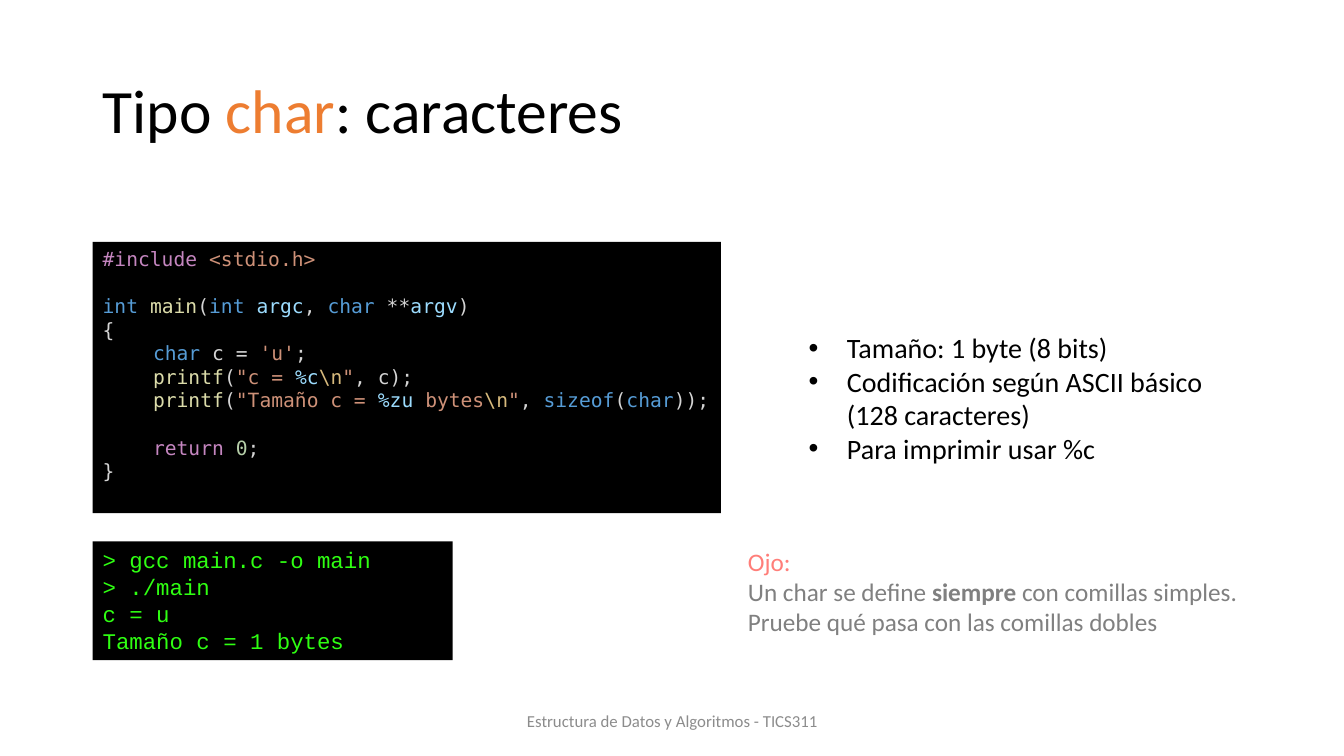
from pptx import Presentation
from pptx.dml.color import RGBColor
from pptx.enum import shapes, text
from pptx.util import Inches, Pt

COLORS = {
    "black": "000000", "orange": "ED7D31", "footer": "8C8C8C",
    "keyword": "569CD6", "control": "C586C0", "function": "DCDCAA",
    "string": "CE9178", "variable": "9CDCFE", "escape": "D7BA7D",
    "number": "B5CEA8", "plain": "D4D4D4",
    "terminal": "2FFF12", "warning": "FF7E79", "gray": "808080",
}


def add_spans(para, font, size, spans):
    """Fill a paragraph with (text, color) spans; a newline breaks the line."""
    para.font.name, para.font.size = font, Pt(size)
    for words, color in spans:
        for number, line in enumerate(words.split("\n")):
            if number:
                para.add_line_break()
            if line:
                span = para.add_run()
                span.text = line
                span.font.name, span.font.size = font, Pt(size)
                span.font.color.rgb = RGBColor.from_string(COLORS[color])


def set_frame(box, place, anchor=text.MSO_ANCHOR.TOP, wrap=True):
    """Place a box and return its text frame."""
    box.left, box.top, box.width, box.height = map(Inches, place)
    frame = box.text_frame
    frame.auto_size = text.MSO_AUTO_SIZE.NONE
    frame.word_wrap = wrap
    frame.vertical_anchor = anchor
    return frame


deck = Presentation()
deck.slide_width, deck.slide_height = Inches(13.33), Inches(7.5)
page = deck.slides.add_slide(deck.slide_layouts[1])

# Title
frame = set_frame(page.shapes.title, (0.92, 0.4, 11.5, 1.45), text.MSO_ANCHOR.MIDDLE)
para = frame.paragraphs[0]
para.alignment, para.line_spacing = text.PP_ALIGN.LEFT, 0.9
add_spans(para, "Calibri", 44,
          [("Tipo ", "black"), ("char", "orange"), (": caracteres", "black")])

# Code and terminal panels: each line is (indent, space before, spans)
code_lines = [
    (0, 0, [("#include ", "control"), ("<stdio.h>", "string")]),
    (0, 17, [("int ", "keyword"), ("main", "function"), ("(", "plain"),
             ("int ", "keyword"), ("argc", "variable"), (", ", "plain"),
             ("char", "keyword"), (" **", "plain"), ("argv", "variable"),
             (")", "plain")]),
    (0, 0, [("{", "plain")]),
    (0.5, 0, [("char", "keyword"), (" c = ", "plain"), ("'u'", "string"),
              (";", "plain")]),
    (0.5, 0, [("printf", "function"), ("(", "plain"), ('"c = ', "string"),
              ("%c", "variable"), ("\\n", "escape"), ('"', "string"),
              (", c);", "plain")]),
    (0.5, 0, [("printf", "function"), ("(", "plain"), ('"Tamaño c = ', "string"),
              ("%zu", "variable"), (" bytes", "string"), ("\\n", "escape"),
              ('"', "string"), (", ", "plain"), ("sizeof", "keyword"),
              ("(", "plain"), ("char", "keyword"), ("));", "plain")]),
    (0.5, 17, [("return ", "control"), ("0", "number"), (";", "plain")]),
    (0, 0, [("}", "plain")]),
]
terminal_lines = [
    (0, 0, [(line, "terminal")])
    for line in ("> gcc main.c -o main", "> ./main", "c = u", "Tamaño c = 1 bytes")
]
panels = [
    ((0.92, 2.4, 6.23, 2.69), "DejaVu Sans Mono", 14, False, code_lines),
    ((0.92, 5.37, 3.57, 1.18), "Courier New", 16, True, terminal_lines),
]
for place, font, size, wrap, lines in panels:
    panel = page.shapes.add_shape(shapes.MSO_SHAPE.RECTANGLE, *map(Inches, place))
    panel.shadow.inherit = False
    panel.fill.solid()
    panel.fill.fore_color.rgb = RGBColor.from_string(COLORS["black"])
    panel.line.fill.background()
    frame = set_frame(panel, place, wrap=wrap)
    for number, (indent, gap, spans) in enumerate(lines):
        para = frame.add_paragraph() if number else frame.paragraphs[0]
        para.alignment, para.space_before = text.PP_ALIGN.LEFT, Pt(gap)
        para._p.get_or_add_pPr().set("marL", str(Inches(indent)))
        add_spans(para, font, size, spans)

# Bullet list
facts = ["Tamaño: 1 byte (8 bits)",
         "Codificación según ASCII básico\n(128 caracteres)",
         "Para imprimir usar %c"]
frame = set_frame(page.placeholders[1], (7.92, 3.23, 4.5, 1.45))
for number, fact in enumerate(facts):
    para = frame.add_paragraph() if number else frame.paragraphs[0]
    para.space_before = Pt(0)
    properties = para._p.get_or_add_pPr()
    properties.set("marL", str(Inches(0.38)))
    properties.set("indent", str(-Inches(0.38)))
    add_spans(para, "Calibri", 20, [(fact, "black")])

# Warning
place = (7.32, 5.37, 5.47, 1.01)
frame = set_frame(page.shapes.add_textbox(*map(Inches, place)), place)
para = frame.paragraphs[0]
add_spans(para, "Calibri", 18, [
    ("Ojo:\n", "warning"), ("Un char se define ", "gray"), ("siempre", "gray"),
    (" con comillas simples.\nPruebe qué pasa con las comillas dobles", "gray")])
para.runs[2].font.bold = True

# Footer
place = (4.42, 6.95, 4.5, 0.4)
frame = set_frame(page.shapes.add_textbox(*map(Inches, place)), place,
                  text.MSO_ANCHOR.MIDDLE)
para = frame.paragraphs[0]
para.alignment = text.PP_ALIGN.CENTER
add_spans(para, "Calibri", 12, [("Estructura de Datos y Algoritmos - TICS311", "footer")])

deck.save("out.pptx")
